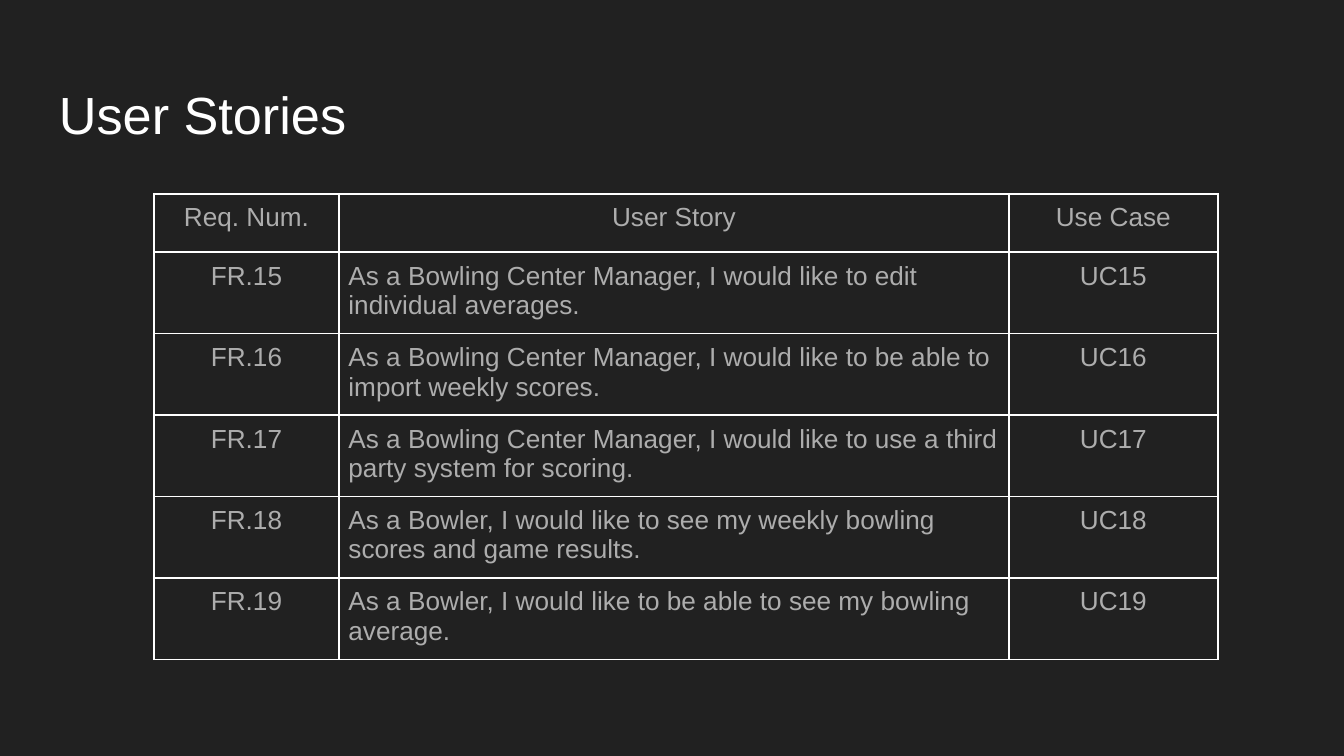
from dataclasses import dataclass

from lxml import etree
from pptx import Presentation
from pptx.dml.color import RGBColor
from pptx.enum.text import MSO_ANCHOR, PP_ALIGN
from pptx.oxml.ns import qn
from pptx.util import Pt

LEFT, CENTER = PP_ALIGN.LEFT, PP_ALIGN.CENTER
TOP = MSO_ANCHOR.TOP


@dataclass(frozen=True)
class Theme:
    font: str = "Arial"
    background: str = "212121"
    title: str = "FFFFFF"
    body: str = "ADADAD"
    border: str = "FFFFFF"
    title_size: int = 28
    body_size: int = 14


theme = Theme()


def write(frame, text, size, color, align, margins):
    """Fill a text frame with one styled paragraph."""
    for side, inset in margins.items():
        setattr(frame, f"margin_{side}", Pt(inset))
    paragraph = frame.paragraphs[0]
    paragraph.alignment = align
    run = paragraph.add_run()
    run.text = text
    for name, value in {"name": theme.font, "size": Pt(size)}.items():
        setattr(run.font, name, value)
    run.font.color.rgb = RGBColor.from_string(color)


def add_borders(cell):
    """Draw a 1 pt line on all four sides; lines precede the cell fill."""
    properties = cell._tc.get_or_add_tcPr()
    for position, side in enumerate(("lnL", "lnR", "lnT", "lnB")):
        line = etree.Element(qn(f"a:{side}"), w=str(Pt(1)))
        fill = etree.SubElement(line, qn("a:solidFill"))
        etree.SubElement(fill, qn("a:srgbClr"), val=theme.border)
        properties.insert(position, line)


# Slide and background
deck = Presentation()
deck.slide_width, deck.slide_height = Pt(720), Pt(405)
slide = deck.slides.add_slide(deck.slide_layouts[6])
slide.background.fill.solid()
slide.background.fill.fore_color.rgb = RGBColor.from_string(theme.background)

# Title
title = slide.shapes.add_textbox(Pt(24.5), Pt(34.6), Pt(671), Pt(45.4)).text_frame
title.word_wrap = True
title.vertical_anchor = TOP
write(title, "User Stories", theme.title_size, theme.title, LEFT,
      {"left": 7.2, "right": 7.2, "top": 9.7, "bottom": 7.2})

# Stories, numbered in sequence
first_number = 15
stories = [
    "As a Bowling Center Manager, I would like to edit individual averages.",
    "As a Bowling Center Manager, I would like to be able to import weekly scores.",
    "As a Bowling Center Manager, I would like to use a third party system for scoring.",
    "As a Bowler, I would like to see my weekly bowling scores and game results.",
    "As a Bowler, I would like to be able to see my bowling average.",
]
rows = [("Req. Num.", "User Story", "Use Case")]
rows += [(f"FR.{number}", story, f"UC{number}")
         for number, story in enumerate(stories, first_number)]

# Table
column_widths = [99.2, 358.8, 112]
header_height, story_height = 31.3, 41.4
table = slide.shapes.add_table(
    len(rows), len(column_widths), Pt(82.5), Pt(103.8), Pt(sum(column_widths)),
    Pt(header_height + story_height * len(stories))).table
table.first_row = table.horz_banding = False
for column, width in zip(table.columns, column_widths):
    column.width = Pt(width)

cell_margins = dict.fromkeys(("left", "right", "top", "bottom"), 5)
for row_index, row in enumerate(rows):
    table.rows[row_index].height = Pt(story_height if row_index else header_height)
    for column_index, text in enumerate(row):
        cell = table.cell(row_index, column_index)
        cell.fill.background()
        cell.vertical_anchor = TOP
        add_borders(cell)
        is_story = row_index > 0 and column_index == 1
        for side, inset in cell_margins.items():
            setattr(cell, f"margin_{side}", Pt(inset))
        write(cell.text_frame, text, theme.body_size, theme.body,
              LEFT if is_story else CENTER, {})

deck.save("out.pptx")
